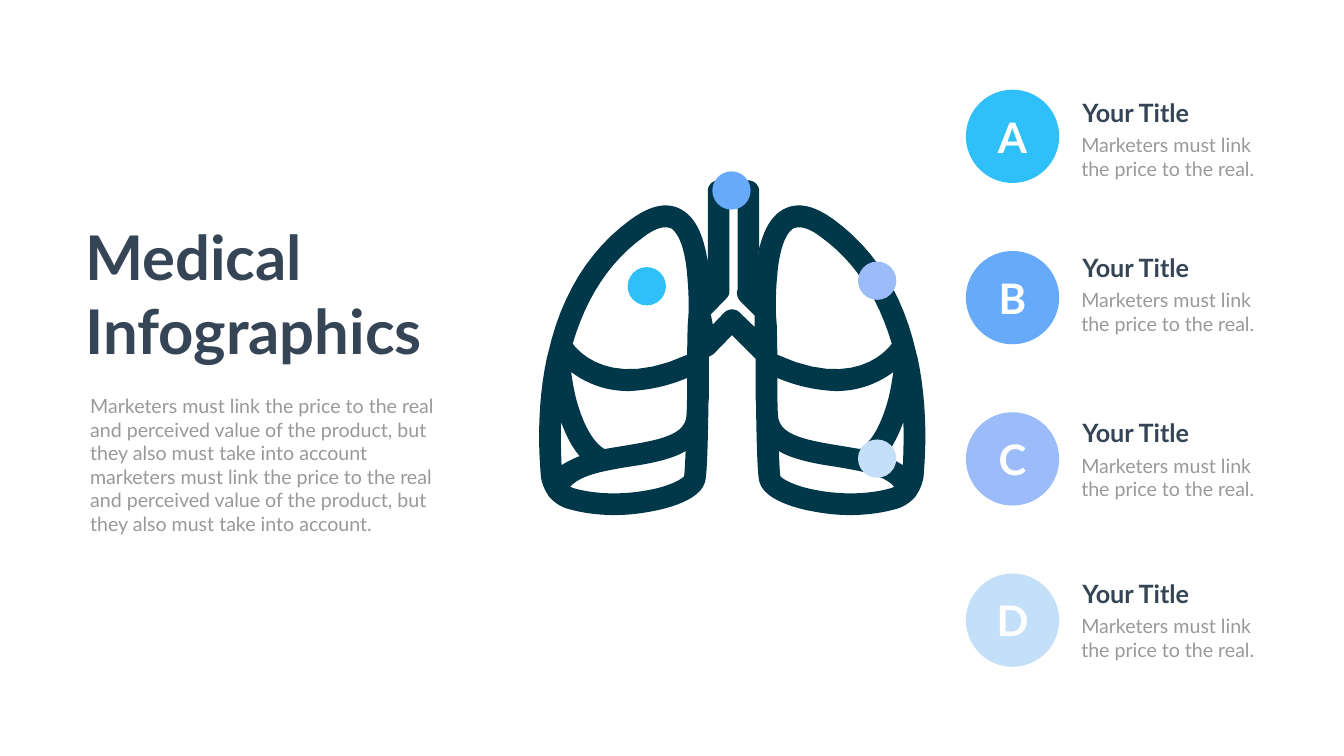
from pptx import Presentation
from pptx.dml.color import RGBColor
from pptx.enum import shapes, text
from pptx.util import Inches, Pt

THEME = {
    "font": "Lato",
    "ink": "364556", "muted": "999999", "white": "FFFFFF", "lungs": "00384A",
    "title": 88, "heading": 36, "body": 28, "letter": 60,
}
TITLE = "Medical Infographics"
SENTENCE = "arketers must link the price to the real and perceived value of the product, but they also must take into account"
INTRO = f"M{SENTENCE} m{SENTENCE}."
HEADING = "Your Title"
DETAIL = "Marketers must link the price to the real."

# letter, colour, heading top, marker centre
ITEMS = [
    ("A", "2FBFF9", 1.88, (12.83, 5.68)),
    ("B", "67AAF9", 4.96, (14.51, 3.78)),
    ("C", "9BBCF8", 8.24, (17.4, 5.57)),
    ("D", "C4E0F9", 11.43, (17.4, 9.1)),
]
BADGE_LEFT, BADGE_TOP, BADGE_SIZE, BADGE_PITCH = 19.16, 1.78, 1.85, 3.2
MARKER_SIZE = 0.76
MIRROR_SUM = 29.05
CURVE_STEPS = 12

# pairs are straight segments, sixes are cubic curves
LUNG_EDGE = [
    (14.04, 5.2), (13.96, 4.66, 13.79, 4.31, 13.52, 4.16),
    (13.24, 4, 12.91, 4.07, 12.52, 4.35), (11.69, 4.95, 11.13, 5.85, 10.87, 7.02),
    (10.85, 7.09), (10.64, 8.07, 10.69, 8.99, 10.73, 9.46),
    (10.75, 9.58, 10.79, 9.7, 10.86, 9.8), (10.88, 9.84),
    (10.98, 9.96, 11.12, 10.06, 11.28, 10.1), (11.56, 10.18, 11.87, 10.22, 12.19, 10.22),
    (12.45, 10.22, 12.71, 10.19, 12.96, 10.14), (13.23, 10.09, 13.87, 9.93, 13.98, 9.58),
    (14, 9.52, 14.03, 9.42, 14.05, 8.24), (14.05, 8.13, 14.05, 8.02, 14.06, 7.92),
    (14.06, 7.08),
]
CARINA = [(14.15, 7.03), (14.52, 6.65), (14.99, 7.12)]
TRACHEA_TOP = [
    (15.06, 4.97), (15.06, 3.79), (15.06, 3.68, 14.96, 3.58, 14.85, 3.58),
    (14.25, 3.58), (14.13, 3.58, 14.04, 3.68, 14.04, 3.79),
]
AIRWAY = [
    (14.97, 6.49), (14.67, 6.2), (14.63, 6.16, 14.58, 6.14, 14.52, 6.14),
    (14.47, 6.14, 14.41, 6.16, 14.37, 6.2), (14.14, 6.44), (14.1, 6.24), (14.4, 5.93),
    (14.44, 5.89, 14.47, 5.84, 14.47, 5.78), (14.47, 4.01), (14.63, 4.01), (14.63, 5.75),
    (14.6, 5.82, 14.63, 5.91, 14.68, 5.97), (14.79, 6.08), (14.97, 6.26),
]
LOBES = [
    [(12.83, 9.73), (12.34, 9.82, 11.82, 9.81, 11.39, 9.69), (11.31, 9.66),
     (11.51, 9.42, 12, 9.34, 12.48, 9.26), (12.83, 9.21, 13.2, 9.14, 13.49, 9.01),
     (13.6, 8.95), (13.59, 9.21, 13.58, 9.39, 13.57, 9.45),
     (13.53, 9.5, 13.3, 9.65, 12.83, 9.73)],
    [(12.77, 4.7), (12.9, 4.6, 13.06, 4.51, 13.2, 4.51),
     (13.24, 4.51, 13.27, 4.52, 13.31, 4.53), (13.39, 4.58, 13.59, 4.77, 13.64, 5.56),
     (13.66, 5.77, 13.66, 5.97, 13.66, 6.19), (13.65, 6.36, 13.64, 6.47, 13.64, 6.47),
     (13.63, 7.04), (12.12, 7.73, 11.47, 6.97, 11.36, 6.82),
     (11.63, 5.9, 12.1, 5.18, 12.77, 4.7)],
    [(11.14, 9.23), (11.13, 9, 11.12, 8.71, 11.13, 8.37),
     (11.23, 8.65, 11.35, 8.88, 11.5, 9.05), (11.37, 9.1, 11.25, 9.16, 11.14, 9.23)],
    [(13.62, 8.21), (13.62, 8.61, 13.16, 8.72, 12.41, 8.84), (11.99, 8.91),
     (11.76, 8.77, 11.57, 8.43, 11.43, 7.92), (11.38, 7.72, 11.35, 7.53, 11.33, 7.38),
     (11.42, 7.45, 11.53, 7.52, 11.66, 7.58), (11.91, 7.7, 12.18, 7.76, 12.48, 7.76),
     (12.88, 7.74, 13.25, 7.66, 13.63, 7.5), (13.63, 7.74, 13.63, 7.98, 13.62, 8.21)],
]


def flatten(segments):
    points = []
    for segment in segments:
        if len(segment) == 2:
            points.append(segment)
            continue
        corners = [points[-1], segment[:2], segment[2:4], segment[4:]]
        for step in range(1, CURVE_STEPS + 1):
            t = step / CURVE_STEPS
            weights = ((1 - t) ** 3, 3 * t * (1 - t) ** 2, 3 * t * t * (1 - t), t ** 3)
            points.append(tuple(sum(w * c[axis] for w, c in zip(weights, corners))
                                for axis in (0, 1)))
    return points


def mirror(points):
    return [(MIRROR_SUM - x, y) for x, y in reversed(points)]


def paint(shape, colour):
    shape.shadow.inherit = False
    shape.fill.solid()
    shape.fill.fore_color.rgb = RGBColor.from_string(colour)
    shape.line.fill.background()


def write(shape, content, size, colour, bold=False, align=text.PP_ALIGN.LEFT,
          anchor=text.MSO_ANCHOR.TOP):
    frame = shape.text_frame
    frame.text = content
    frame.word_wrap = True
    frame.auto_size = text.MSO_AUTO_SIZE.NONE
    frame.vertical_anchor = anchor
    para = frame.paragraphs[0]
    para.alignment = align
    font = para.runs[0].font
    font.name, font.size, font.bold = THEME["font"], Pt(THEME[size]), bold
    font.color.rgb = RGBColor.from_string(THEME[colour])


def add_text(page, place, *style, **options):
    box = page.shapes.add_textbox(*map(Inches, place))
    write(box, *style, **options)


def add_circle(page, left, top, size, colour):
    circle = page.shapes.add_shape(shapes.MSO_SHAPE.OVAL,
                                   *map(Inches, (left, top, size, size)))
    paint(circle, colour)
    return circle


def add_lungs(page):
    edge = flatten(LUNG_EDGE)
    lobes = [flatten(lobe) for lobe in LOBES]
    outline = edge + CARINA + mirror(edge) + flatten(TRACHEA_TOP)
    contours = [outline, flatten(AIRWAY)] + lobes + [mirror(lobe) for lobe in lobes]
    builder = None
    for contour in contours:
        start, *rest = [(Inches(x), Inches(y)) for x, y in contour]
        if builder is None:
            builder = page.shapes.build_freeform(*start)
        else:
            builder.move_to(*start)
        builder.add_line_segments(rest, close=True)
    paint(builder.convert_to_shape(), THEME["lungs"])


def main():
    deck = Presentation()
    deck.slide_width, deck.slide_height = Inches(26.66), Inches(15)
    page = deck.slides.add_slide(deck.slide_layouts[5])

    title = page.shapes.title
    title.left, title.top, title.width, title.height = map(Inches, (1.59, 4.3, 7.8, 3.06))
    write(title, TITLE, "title", "ink", bold=True)
    add_text(page, (1.69, 7.77, 7.33, 2.93), INTRO, "body", "muted")

    add_lungs(page)
    for index, (letter, colour, top, (x, y)) in enumerate(ITEMS):
        add_circle(page, x - MARKER_SIZE / 2, y - MARKER_SIZE / 2, MARKER_SIZE, colour)
        badge = add_circle(page, BADGE_LEFT, BADGE_TOP + index * BADGE_PITCH,
                           BADGE_SIZE, colour)
        write(badge, letter, "letter", "white", bold=True,
              align=text.PP_ALIGN.CENTER, anchor=text.MSO_ANCHOR.MIDDLE)
        add_text(page, (21.37, top, 3.91, 0.71), HEADING, "heading", "ink", bold=True)
        add_text(page, (21.35, top + 0.71, 3.94, 1.04), DETAIL, "body", "muted")

    deck.save("out.pptx")


if __name__ == "__main__":
    main()
